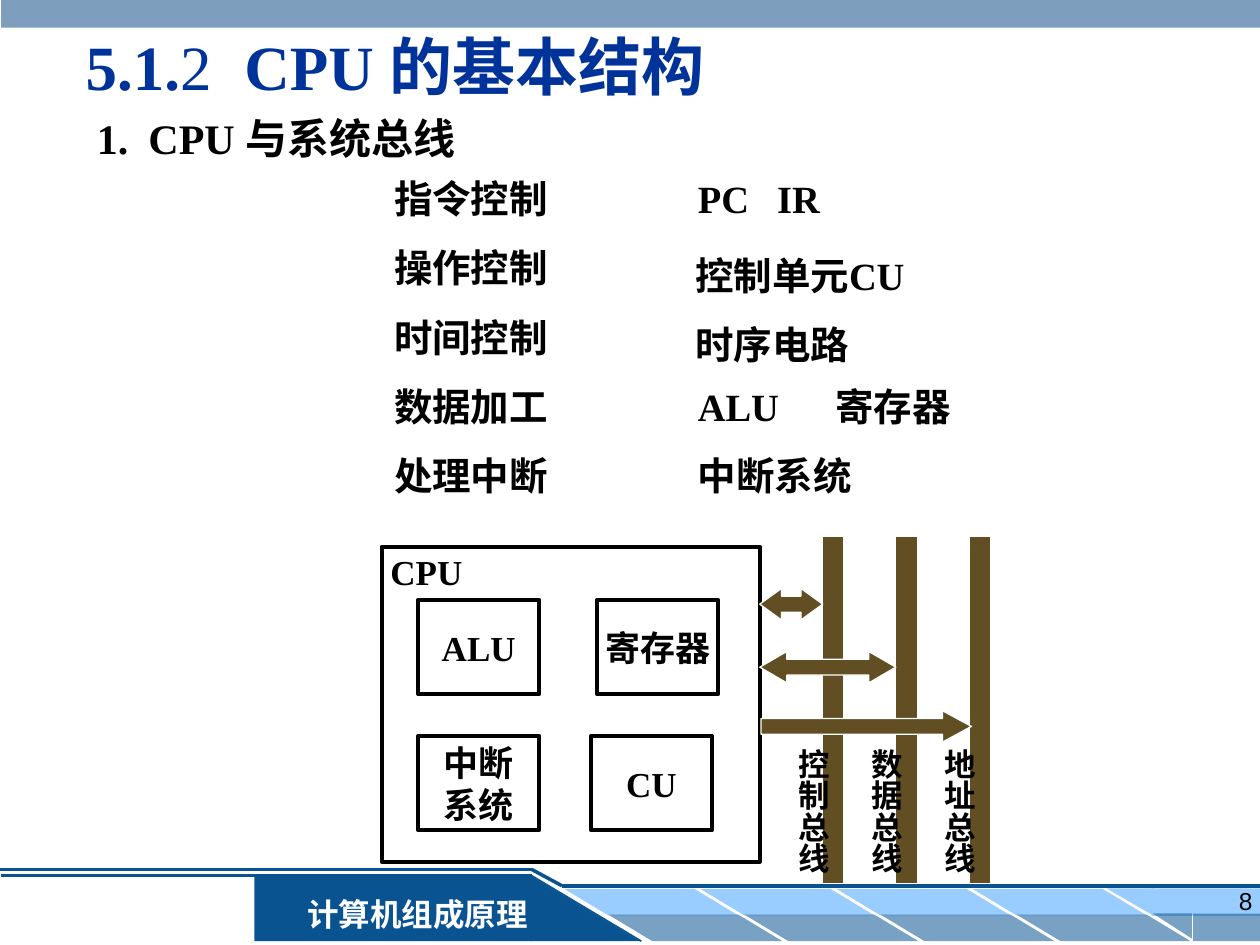
from lxml import etree
from pptx import Presentation
from pptx import util as u
from pptx.dml.color import RGBColor
from pptx.enum import shapes, text
from pptx.oxml.ns import qn

COLORS = {"navy": "095391", "sky": "99CCFF", "steel": "336699", "title": "003399",
          "bus": "614F23", "black": "000000", "white": "FFFFFF"}
WIDTH, HEIGHT = u.Inches(10), u.Inches(7.5)
COL, ROW = WIDTH / 100, HEIGHT / 75
SHAPE, ALIGN, ANCHOR = shapes.MSO_SHAPE, text.PP_ALIGN, text.MSO_ANCHOR


def rgb(name):
    """Look up a palette colour."""
    return RGBColor.from_string(COLORS[name])


def grid(box, x, y, w, h):
    """Turn columns and rows inside a box into slide lengths."""
    return (int((box[0] + x) * COL), int((box[1] + y) * ROW), int(w * COL), int(h * ROW))


def write(sp, paragraphs, size=22, color="black", bold=True, font="Times New Roman",
          align=ALIGN.LEFT, anchor=ANCHOR.TOP, wrap=True, inset=(0.1, 0.05),
          tab=None, spacing=None, vertical=False):
    """Fill a shape with paragraphs, each a list of (text, bold) runs or a string."""
    tf = sp.text_frame
    tf.word_wrap, tf.auto_size, tf.vertical_anchor = wrap, text.MSO_AUTO_SIZE.NONE, anchor
    tf.margin_left = tf.margin_right = u.Inches(inset[0])
    tf.margin_top = tf.margin_bottom = u.Inches(inset[1])
    if vertical:
        tf._txBody.bodyPr.set("vert", "eaVert")
    for i, runs in enumerate(paragraphs):
        p = tf.add_paragraph() if i else tf.paragraphs[0]
        p.alignment = align
        if spacing:
            p.line_spacing = spacing
        if tab:
            tabs = etree.SubElement(p._p.get_or_add_pPr(), qn("a:tabLst"))
            etree.SubElement(tabs, qn("a:tab"), pos=str(int(tab * COL)), algn="l")
        for words, heavy in [(runs, bold)] if isinstance(runs, str) else runs:
            r = p.add_run()
            r.text = words
            r.font.name, r.font.size, r.font.bold = font, u.Pt(size), heavy
            r.font.color.rgb = rgb(color)


def add_text(s, box, place, paragraphs, **fmt):
    """Add a text box on the grid."""
    write(s.shapes.add_textbox(*grid(box, *place)), paragraphs, **fmt)


def add_shape(s, box, kind, place, fill=None, line=None, weight=0.75, alpha=None, flip="", adj=()):
    """Add a preset shape on the grid."""
    sp = s.shapes.add_shape(kind, *grid(box, *place))
    sp.shadow.inherit = False
    for i, value in enumerate(adj):
        sp.adjustments[i] = value
    if fill:
        sp.fill.solid()
        sp.fill.fore_color.rgb = rgb(fill)
    else:
        sp.fill.background()
    if line:
        sp.line.color.rgb = rgb(line)
        sp.line.width = u.Pt(weight)
    else:
        sp.line.fill.background()
    if alpha:
        color = sp._element.spPr.find(qn("a:solidFill"))[0]
        etree.SubElement(color, qn("a:alpha"), val=str(alpha * 1000))
    for axis in flip:
        sp._element.spPr.xfrm.set("flip" + axis, "1")
    return sp


def add_line(s, box, start, end, weight):
    """Add a navy straight line between two grid points."""
    points = grid(box, *start, 0, 0)[:2] + grid(box, *end, 0, 0)[:2]
    cx = s.shapes.add_connector(shapes.MSO_CONNECTOR.STRAIGHT, *points)
    cx.line.color.rgb = rgb("navy")
    cx.line.width = u.Pt(weight)
    etree.SubElement(cx._element.spPr, qn("a:effectLst"))


def footer(s, box):
    """Draw the course banner, slanted tiles and page number."""
    add_shape(s, box, SHAPE.RECTANGLE, (20.2, 0.5, 22, 5.2), "navy")
    for start, end, weight in [((50.9, 5.7), (42.2, 0.5), 1), ((42.2, 0.5), (0.1, 0.5), 1.5),
                               ((-0.1, 0), (42.2, 0), 2)]:
        add_line(s, box, start, end, weight)
    upper, lower = {"fill": "sky"}, {"fill": "navy", "alpha": 54}
    for i in range(4):
        for x, y, look in [(44.8, 1.55, upper), (48.3, 3.6, lower)]:
            add_shape(s, box, SHAPE.PARALLELOGRAM, (x + 10.8 * i, y, 13.8, 2.1),
                      flip="H", adj=[1.66], **look)
    for bar, corner, look in [((91.4, 1.5, 8.6, 2.2), (87.8, 1.5, 3.8, 2.2), upper),
                              ((94.7, 3.5, 5.4, 2.2), (91.5, 3.5, 3.1, 2), lower)]:
        add_shape(s, box, SHAPE.RECTANGLE, bar, **look)
        add_shape(s, box, SHAPE.RIGHT_TRIANGLE, corner, flip="HV", **look)
    add_line(s, box, (44.6, 1.3), (100.1, 1.3), 2)
    label = add_shape(s, box, SHAPE.RECTANGLE, (22.9, 1.5, 20.5, 4), "navy")
    write(label, ["计算机组成原理"], size=18, color="white", align=ALIGN.CENTER, anchor=ANCHOR.MIDDLE)
    add_shape(s, box, SHAPE.RIGHT_TRIANGLE, (42.1, 0.5, 8.7, 5.2), "navy")
    add_line(s, box, (42.2, 0), (44.6, 1.3), 2)
    add_text(s, box, (77.1, 0.8, 23.3, 5.2), ["8"], size=14, font="Arial",
             bold=False, align=ALIGN.RIGHT)


def heading(s, box):
    """Draw the top band, the title and the section line."""
    add_shape(s, box, SHAPE.RECTANGLE, (0.1, -0.3, 100, 2.5), "steel", alpha=63)
    title = s.shapes.title
    title.left, title.top, title.width, title.height = grid(box, 5.8, 1.7, 62.5, 7)
    write(title, [[("5.1.", True), ("2\t", False), ("CPU 的基本结构", True)]],
          size=36, color="title", tab=12.6)
    add_text(s, box, (6.7, 8.4, 35, 5), ["1.\tCPU 与系统总线"], size=24, tab=4.1)


def functions(s, box):
    """List the CPU functions beside the parts that serve them."""
    pitch, x = 5.5, 24.1
    for i, name in enumerate(["指令控制", "操作控制", "时间控制", "数据加工", "处理中断"]):
        add_text(s, box, (0, i * pitch, 20, 4.7), [name])
    for row, name, tab in [(0, "PC\tIR", 6.3), (3, "ALU\t寄存器", 10.9), (4, "中断系统", None)]:
        add_text(s, box, (x, row * pitch, 30, 4.7), [name], tab=tab)
    add_text(s, box, (x - 0.2, 4.3, 39.7, 12), ["控制单元CU", "时序电路"], spacing=1.5)


def diagram(s, box):
    """Draw the CPU block and its links to the three buses."""
    for x, y, lines in [(17.1, 4.2, ["寄存器"]), (2.9, 4.2, ["ALU"]),
                        (2.9, 15, ["中断", "系统"]), (16.6, 15, ["CU"])]:
        unit = add_shape(s, box, SHAPE.RECTANGLE, (x, y, 9.6, 7.5), line="black", weight=2.25)
        write(unit, lines, size=20, align=ALIGN.CENTER, anchor=ANCHOR.MIDDLE, inset=(0, 0))
    add_shape(s, box, SHAPE.RECTANGLE, (0, 0, 30, 25), line="black", weight=2.25)
    add_text(s, box, (-0.3, -0.2, 7.7, 4.4), ["CPU"], size=20, wrap=False)
    buses = ["控制总线", "数据总线", "地址总线"]
    xs = [35 + 5.8 * i for i in range(len(buses))]
    for x in xs:
        add_shape(s, box, SHAPE.RECTANGLE, (x, -0.8, 1.7, 27.5), "bus", "white")
    both = SHAPE.LEFT_RIGHT_ARROW
    for kind, x, y, end, adj in [(both, 30, 3.3, xs[0], (0.51, 0.69)),
                                 (both, 30, 8.3, xs[1], (0.5, 0.86)),
                                 (SHAPE.RIGHT_ARROW, 30.1, 13, xs[2] + 0.2, (0.5, 0.92))]:
        add_shape(s, box, kind, (x, y, end - x, 2.5), "bus", "white", adj=adj)
    for x, name in zip(xs, buses):
        add_text(s, box, (x - 3.8, 15, 5, 11), [name], size=18, wrap=False,
                 inset=(0.05, 0.1), vertical=True)


def main():
    """Build and save the slide."""
    prs = Presentation()
    prs.slide_width, prs.slide_height = WIDTH, HEIGHT
    s = prs.slides.add_slide(prs.slide_layouts[5])
    footer(s, (0, 69))
    heading(s, (0, 0))
    functions(s, (30.3, 13.4))
    diagram(s, (30.3, 43.4))
    prs.save("out.pptx")


if __name__ == "__main__":
    main()
